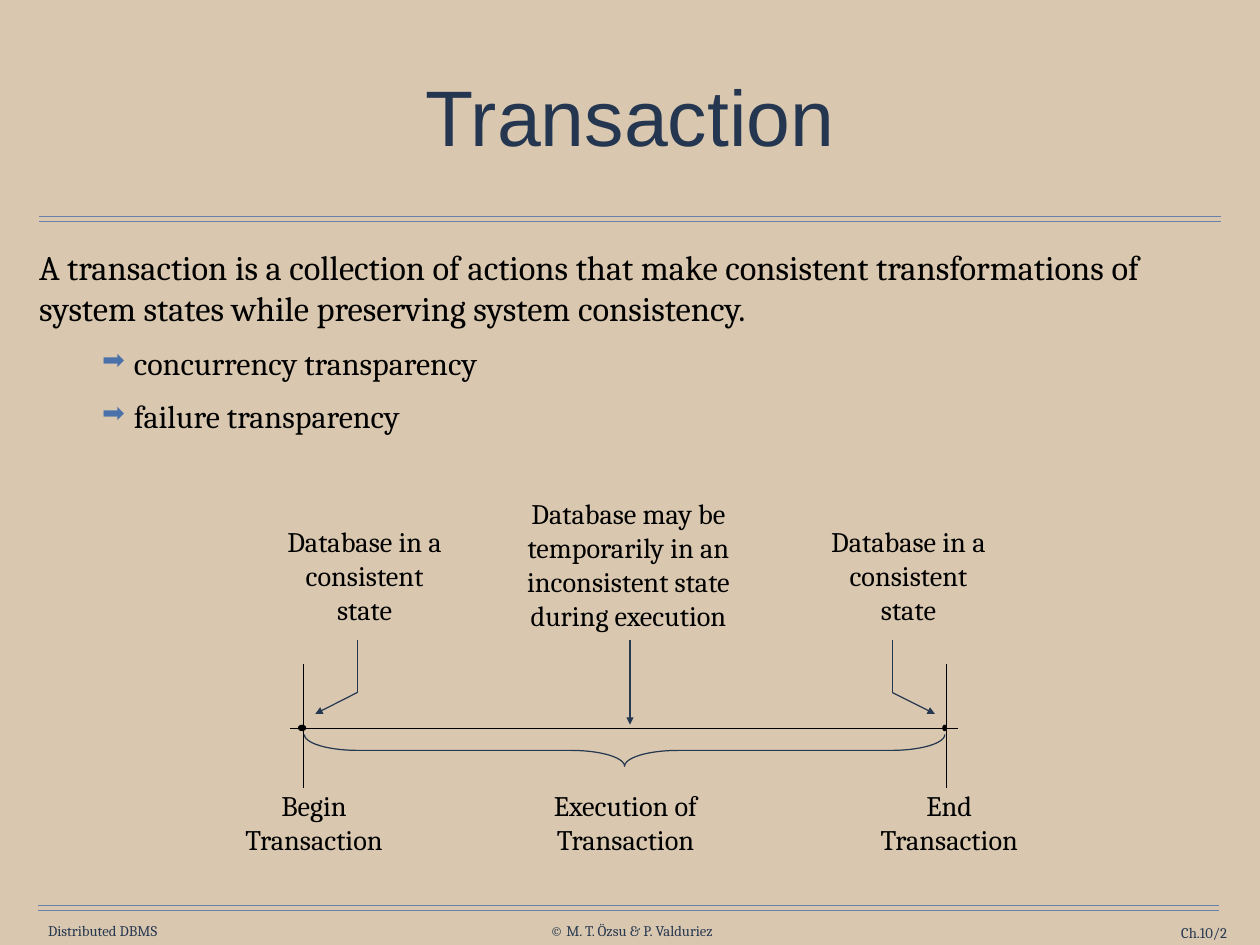
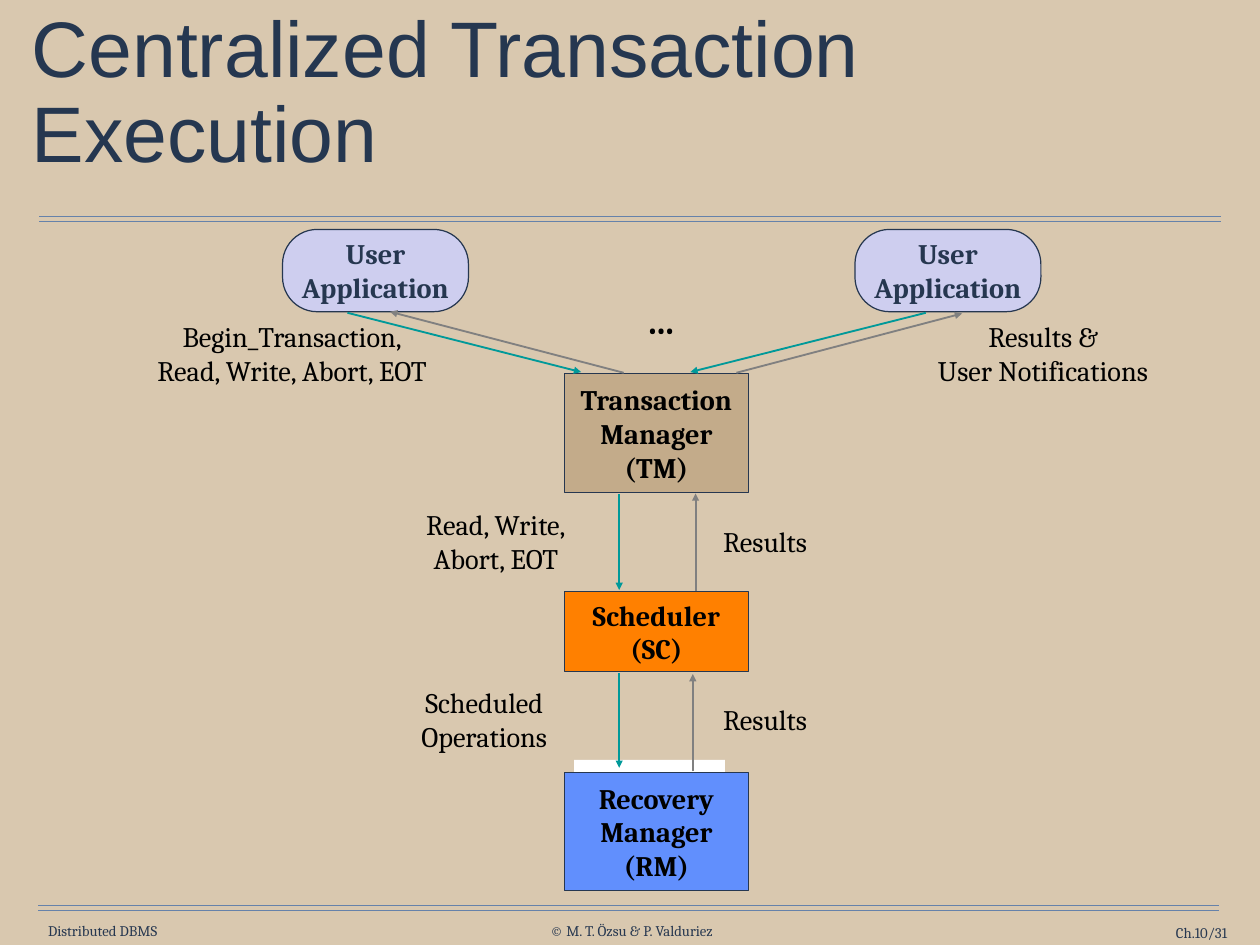
from dataclasses import dataclass

from lxml.etree import SubElement
from pptx import Presentation
from pptx.dml.color import RGBColor
from pptx.enum.shapes import MSO_CONNECTOR, MSO_SHAPE
from pptx.enum.text import MSO_ANCHOR, MSO_AUTO_SIZE, PP_ALIGN
from pptx.oxml.ns import qn
from pptx.util import Cm, Pt


@dataclass(frozen=True)
class TextStyle:
    """Font settings of one kind of text."""
    font: str
    size: float
    color: str
    bold: bool = False


@dataclass(frozen=True)
class Theme:
    """Colours and type styles of the whole deck."""
    background: str = "D9C8AF"
    rule: str = "6682AA"
    ink: str = "263750"
    black: str = "000000"
    white: str = "FFFFFF"
    bullet: str = "4A71A9"
    command: str = "009999"
    reply: str = "808080"
    application: str = "CECEEF"
    transaction_manager: str = "C3AB8A"
    scheduler: str = "FF8000"
    recovery_manager: str = "618FFD"
    title: TextStyle = TextStyle("Arial", 64, "253750")
    footer: TextStyle = TextStyle("Cambria", 12, "263750")
    body: TextStyle = TextStyle("Cambria", 28, "000000")
    item: TextStyle = TextStyle("Cambria", 26, "000000")
    label: TextStyle = TextStyle("Cambria", 23, "000000")
    box: TextStyle = TextStyle("Cambria", 23, "000000", True)
    user_box: TextStyle = TextStyle("Cambria", 23, "263750", True)
    ellipsis: TextStyle = TextStyle("Cambria", 30, "000000", True)


class Deck:
    """Holds the theme and the current slide, and draws elements on it."""

    def __init__(self, theme):
        """Start an empty presentation."""
        self.theme = theme
        self.presentation = Presentation()
        self.presentation.slide_width = Cm(36.12)
        self.presentation.slide_height = Cm(27.1)
        self.slide = None

    def new_slide(self, page):
        """Add a slide with background, double rules and footer."""
        layout = self.presentation.slide_layouts[6]
        self.slide = self.presentation.slides.add_slide(layout)
        fill = self.slide.background.fill
        fill.solid()
        fill.fore_color.rgb = RGBColor.from_string(self.theme.background)
        for left, right, top in ((1.12, 35, 6.2), (1.09, 34.95, 25.96)):
            for y in (top, top + 0.15):
                self.line((left, y), (right, y), self.theme.rule)
        for left, top, width, text, align, wrap in (
            (1.19, 26.44, 3.51, "Distributed DBMS", PP_ALIGN.CENTER, False),
            (15.47, 26.44, 5.28, "© M. T. Özsu & P. Valduriez", PP_ALIGN.CENTER, False),
            (31.27, 26.49, 3.91, f"Ch.10/{page}", PP_ALIGN.RIGHT, True),
        ):
            self.text((left, top, width, 0.51), [text], self.theme.footer, align,
                      wrap=wrap, grow=True, anchor=MSO_ANCHOR.MIDDLE)

    def fill_frame(self, frame, lines, style, align, insets=(0, 0), wrap=False,
                   anchor=MSO_ANCHOR.TOP):
        """Fill a text frame, one paragraph a line."""
        frame.word_wrap = wrap
        frame.vertical_anchor = anchor
        frame.margin_left = frame.margin_right = Cm(insets[0])
        frame.margin_top = frame.margin_bottom = Cm(insets[1])
        for index, line in enumerate(lines):
            paragraph = frame.paragraphs[0] if index == 0 else frame.add_paragraph()
            paragraph.text = line
            paragraph.alignment = align
            self.set_font(paragraph, style)

    def set_font(self, paragraph, style):
        """Apply a text style to a paragraph."""
        font = paragraph.font
        font.name, font.size, font.bold = style.font, Pt(style.size), style.bold
        font.color.rgb = RGBColor.from_string(style.color)

    def text(self, place, lines, style, align, grow=False, **layout):
        """Add a text box and return its frame."""
        frame = self.slide.shapes.add_textbox(*map(Cm, place)).text_frame
        self.fill_frame(frame, lines, style, align, **layout)
        frame.auto_size = MSO_AUTO_SIZE.SHAPE_TO_FIT_TEXT if grow else MSO_AUTO_SIZE.NONE
        return frame

    def title(self, place, text, align):
        """Add the slide title."""
        frame = self.text(place, [text], self.theme.title, align, wrap=True,
                          insets=(0.15, 0.15), anchor=MSO_ANCHOR.MIDDLE)
        frame.paragraphs[0].line_spacing = 0.9

    def body(self, place, statement, items):
        """Add a statement followed by arrow-bulleted items."""
        frame = self.text(place, [statement, *items], self.theme.body,
                          PP_ALIGN.LEFT, wrap=True, insets=(0.15, 0.15))
        for paragraph in frame.paragraphs:
            paragraph.space_before = Pt(12)
        for paragraph in frame.paragraphs[1:]:
            paragraph.level = 1
            self.set_font(paragraph, self.theme.item)
            self.bullet(paragraph)

    def bullet(self, paragraph):
        """Give a paragraph a hanging arrow bullet."""
        properties = paragraph._p.get_or_add_pPr()
        properties.set("marL", str(Cm(2.72)))
        properties.set("indent", str(Cm(-0.91)))
        color = SubElement(properties, qn("a:buClr"))
        SubElement(color, qn("a:srgbClr"), val=self.theme.bullet)
        SubElement(properties, qn("a:buSzPct"), val="85000")
        SubElement(properties, qn("a:buChar"), char="➡")

    def label(self, left, top, width, *lines, style=None):
        """Add a centred label whose height follows its line count."""
        style = style or self.theme.label
        height = 0.36 + 0.98 * len(lines) * style.size / self.theme.label.size
        self.text((left, top, width, height), lines, style, PP_ALIGN.CENTER,
                  grow=True, insets=(0.36, 0.18))

    def shape(self, kind, place, fill=None, line=None, adjustments=()):
        """Add a flat preset shape."""
        shape = self.slide.shapes.add_shape(kind, *map(Cm, place))
        shape.shadow.inherit = False
        for index, value in enumerate(adjustments):
            shape.adjustments[index] = value
        if fill:
            shape.fill.solid()
            shape.fill.fore_color.rgb = RGBColor.from_string(fill)
        else:
            shape.fill.background()
        if line:
            shape.line.color.rgb = RGBColor.from_string(line)
            shape.line.width = Pt(1)
        else:
            shape.line.fill.background()
        return shape

    def box(self, place, fill, *lines, kind=MSO_SHAPE.RECTANGLE, style=None,
            adjustments=()):
        """Add an outlined box with centred text."""
        shape = self.shape(kind, place, fill, self.theme.ink, adjustments)
        self.fill_frame(shape.text_frame, lines, style or self.theme.box,
                        PP_ALIGN.CENTER, anchor=MSO_ANCHOR.MIDDLE)

    def line(self, start, end, color, width=1, arrow=False):
        """Add a straight line, with an arrowhead at its end if wanted."""
        connector = self.slide.shapes.add_connector(
            MSO_CONNECTOR.STRAIGHT, *map(Cm, (*start, *end)))
        connector.line.color.rgb = RGBColor.from_string(color)
        connector.line.width = Pt(width)
        properties = connector.element.spPr
        if arrow:
            SubElement(properties.find(qn("a:ln")), qn("a:tailEnd"), type="triangle")
        SubElement(properties, qn("a:effectLst"))


def build_transaction(deck):
    """Slide on the definition and the timeline of a transaction."""
    theme = deck.theme
    deck.new_slide(2)
    deck.title((0.99, 1.24, 34.14, 4.47), "Transaction", PP_ALIGN.CENTER)
    deck.body((0.97, 6.91, 34.14, 6.02),
              "A transaction is a collection of actions that make consistent "
              "transformations of system states while preserving system consistency.",
              ["concurrency transparency", "failure transparency"])

    for left in (7.65, 23.24):
        deck.label(left, 14.86, 5.61, "Database in a", "consistent", "state")
    deck.label(14.45, 14.05, 7.14, "Database may be", "temporarily in an",
               "inconsistent state", "during execution")
    for left, width, phase in ((6.53, 4.95, "Begin"), (24.74, 4.95, "End"),
                               (15.32, 5.23, "Execution of")):
        deck.label(left, 22.43, width, phase, "Transaction")

    axis_y = 20.9
    deck.line((8.31, axis_y), (27.46, axis_y), theme.black)
    for tick_x, dot_left, dot_width in ((8.71, 8.56, 0.2), (27.13, 27.03, 0.1)):
        deck.line((tick_x, 19.05), (tick_x, 22.61), theme.black)
        deck.shape(MSO_SHAPE.OVAL, (dot_left, 20.8, dot_width, 0.15),
                   theme.black, theme.black)

    deck.line((18.06, 18.36), (18.06, 20.78), theme.ink, arrow=True)
    for stem_x, tip_x in ((10.24, 9.04), (25.58, 26.8)):
        deck.line((stem_x, 18.36), (stem_x, 19.86), theme.ink)
        deck.line((stem_x, 19.86), (tip_x, 20.47), theme.ink, arrow=True)
    brace = deck.shape(MSO_SHAPE.RIGHT_BRACE, (17.45, 12.34, 0.91, 18.36),
                       line=theme.ink, adjustments=(1.69, 0.5))
    brace.rotation = 90


def build_execution(deck):
    """Slide on the layers of centralized transaction execution."""
    theme = deck.theme
    deck.new_slide(31)
    deck.title((0.76, 0.46, 34.09, 4.52), "Centralized Transaction Execution",
               PP_ALIGN.LEFT)
    deck.shape(MSO_SHAPE.RECTANGLE, (16.46, 21.79, 4.32, 1.8), theme.white)

    deck.label(3.4, 8.97, 9.96, "Begin_Transaction,", "Read, Write, Abort, EOT")
    deck.label(26.21, 8.97, 7.39, "Results &", "User Notifications")
    deck.label(11.53, 14.38, 5.38, "Read, Write,", "Abort, EOT")
    deck.label(11.51, 19.48, 4.75, "Scheduled", "Operations")
    for top in (14.86, 19.96):
        deck.label(20.22, top, 3.43, "Results")
    deck.label(18.06, 8.36, 1.78, "…", style=theme.ellipsis)

    for left in (8.1, 24.51):
        deck.box((left, 6.58, 5.33, 2.36), theme.application, "User", "Application",
                 kind=MSO_SHAPE.ROUNDED_RECTANGLE, style=theme.user_box,
                 adjustments=(0.42,))
    for top, height, fill, lines in (
        (10.72, 3.4, theme.transaction_manager, ("Transaction", "Manager", "(TM)")),
        (16.97, 2.29, theme.scheduler, ("Scheduler", "(SC)")),
        (22.15, 3.4, theme.recovery_manager, ("Recovery", "Manager", "(RM)")),
    ):
        deck.box((16.18, top, 5.28, height), fill, *lines)

    commands = (((9.96, 8.97), (16.66, 10.67)), ((26.54, 8.97), (19.79, 10.67)),
                ((17.75, 14.17), (17.75, 16.92)), ((17.75, 19.3), (17.75, 22.02)))
    replies = (((17.88, 10.69), (11.18, 8.94)), ((21.11, 10.69), (27.58, 8.99)),
               ((19.94, 16.94), (19.94, 14.15)), ((19.86, 22.12), (19.86, 19.33)))
    for color, arrows in ((theme.command, commands), (theme.reply, replies)):
        for start, end in arrows:
            deck.line(start, end, color, width=1.5, arrow=True)


def main():
    """Build both slides and save the deck."""
    deck = Deck(Theme())
    build_transaction(deck)
    build_execution(deck)
    deck.presentation.save("out.pptx")


main()
